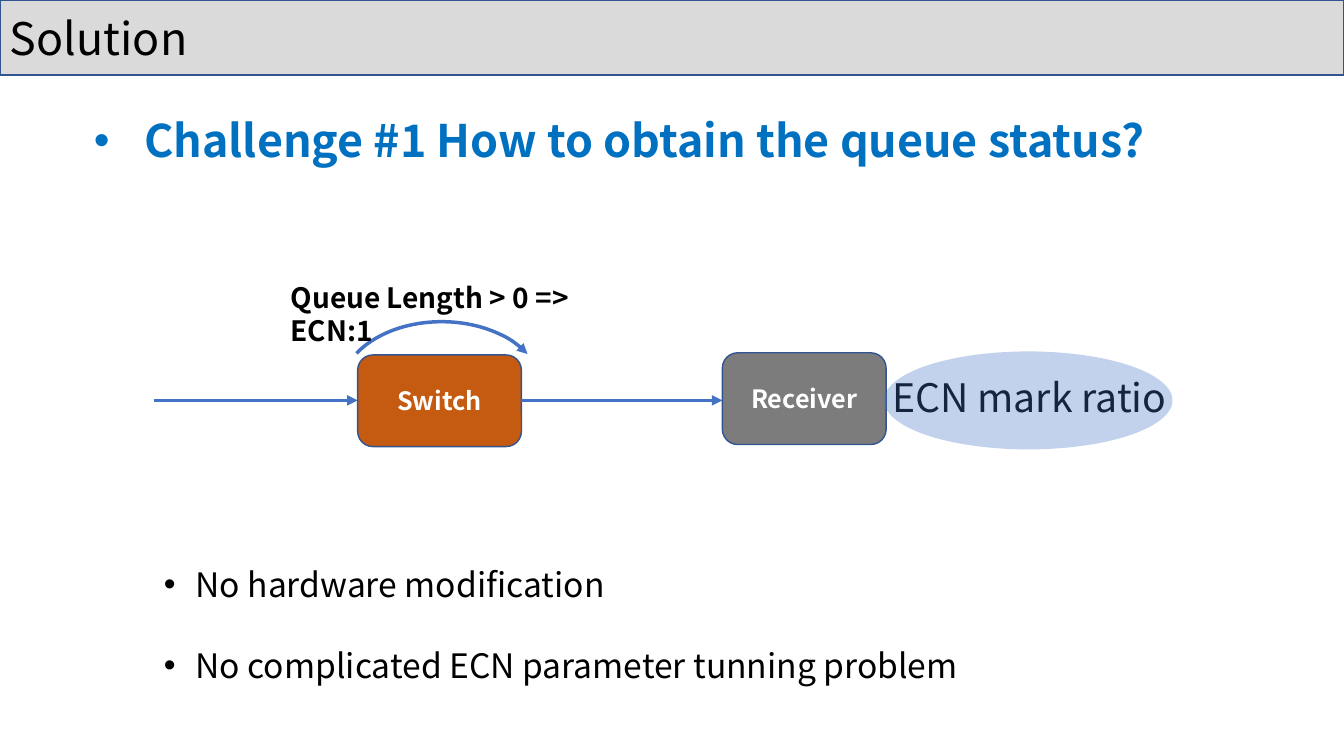
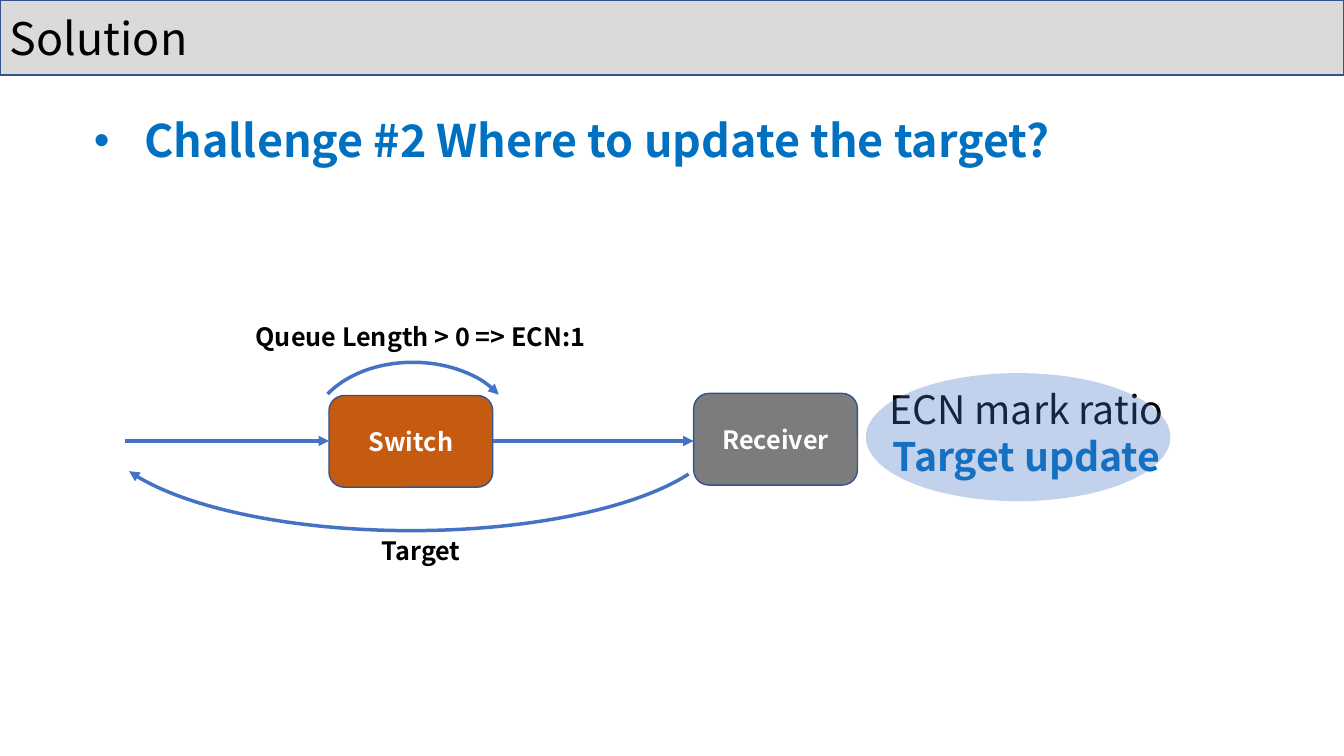
from dataclasses import dataclass
from typing import Any, Optional

import pptx
import pptx.dml.color
import pptx.enum.shapes
import pptx.enum.text
import pptx.oxml
import pptx.oxml.ns
import pptx.util

Pt = pptx.util.Pt
RGBColor = pptx.dml.color.RGBColor
MSO_SHAPE = pptx.enum.shapes.MSO_SHAPE
MSO_ANCHOR = pptx.enum.text.MSO_ANCHOR
PP_ALIGN = pptx.enum.text.PP_ALIGN

FONT = "Noto Sans CJK SC"
BLACK = RGBColor(0x00, 0x00, 0x00)
WHITE = RGBColor(0xFF, 0xFF, 0xFF)
BAND_GREY = RGBColor(0x52, 0x52, 0x52)
BORDER_BLUE = RGBColor(0x32, 0x54, 0x91)
HEADING_BLUE = RGBColor(0x00, 0x70, 0xC0)
ARROW_BLUE = RGBColor(0x44, 0x72, 0xC4)
SWITCH_ORANGE = RGBColor(0xC5, 0x5A, 0x11)
RECEIVER_GREY = RGBColor(0x7C, 0x7C, 0x7C)

SLIDE_WIDTH, SLIDE_HEIGHT = 960, 540
NODE_WIDTH, NODE_HEIGHT = 117, 65.5
SWITCH_OFFSET, RECEIVER_OFFSET = 145.5, 406


@dataclass(frozen=True)
class Box:
    left: float
    top: float
    width: float
    height: float

    def lengths(self) -> tuple:
        return Pt(self.left), Pt(self.top), Pt(self.width), Pt(self.height)


@dataclass(frozen=True)
class Line:
    text: str
    size: float
    color: RGBColor = BLACK
    bold: bool = False
    align: Any = PP_ALIGN.LEFT
    indent: float = 0
    space_before: float = 0


@dataclass(frozen=True)
class Node:
    name: str
    left: float
    top: float
    color: RGBColor


@dataclass(frozen=True)
class Arc:
    box: Box
    rotation: float
    start: float
    end: float


@dataclass(frozen=True)
class Label:
    box: Box
    lines: tuple


@dataclass(frozen=True)
class Challenge:
    heading: str
    left: float
    axis: float
    labels: tuple
    ellipse: Box
    arcs: tuple = ()


def add_xml(parent: Any, tag: str, **attributes: str) -> None:
    element = pptx.oxml.parse_xml(f"<a:{tag} {pptx.oxml.ns.nsdecls('a')}/>")
    for name, value in attributes.items():
        element.set(name, value)
    parent.append(element)


def apply_format(target: Any, values: dict) -> None:
    for name, value in values.items():
        setattr(target, name, value)


def write_lines(frame: Any, lines: tuple, anchor: Any) -> None:
    apply_format(frame, {"word_wrap": True, "vertical_anchor": anchor})
    for index, line in enumerate(lines):
        paragraph = frame.add_paragraph() if index else frame.paragraphs[0]
        apply_format(paragraph, {"alignment": line.align, "space_before": Pt(line.space_before)})
        if line.indent:
            properties = paragraph._p.get_or_add_pPr()
            properties.set("marL", str(Pt(line.indent)))
            properties.set("indent", str(-Pt(line.indent)))
            add_xml(properties, "buFont", typeface="Arial")
            add_xml(properties, "buChar", char="•")
        run = paragraph.add_run()
        run.text = line.text
        apply_format(run.font, {"name": FONT, "size": Pt(line.size), "bold": line.bold})
        run.font.color.rgb = line.color


def add_text(slide: Any, label: Label) -> None:
    shape = slide.shapes.add_textbox(*label.box.lengths())
    write_lines(shape.text_frame, label.lines, MSO_ANCHOR.TOP)


def add_filled(slide: Any, kind: Any, box: Box, color: RGBColor, bordered: bool = True,
               opacity: Optional[int] = None, line: Optional[Line] = None) -> None:
    shape = slide.shapes.add_shape(kind, *box.lengths())
    shape.shadow.inherit = False
    shape.fill.solid()
    shape.fill.fore_color.rgb = color
    if opacity is not None:
        fill_color = shape._element.spPr.find(".//" + pptx.oxml.ns.qn("a:srgbClr"))
        add_xml(fill_color, "alpha", val=str(opacity * 1000))
    if bordered:
        shape.line.color.rgb = BORDER_BLUE
        shape.line.width = Pt(1)
    else:
        shape.line.fill.background()
    if line:
        write_lines(shape.text_frame, (line,), MSO_ANCHOR.MIDDLE)


def style_arrow(line: Any) -> None:
    line.color.rgb = ARROW_BLUE
    line.width = Pt(2.5)
    add_xml(line._get_or_add_ln(), "tailEnd", type="triangle")


def add_arrow(slide: Any, start: float, end: float, axis: float) -> None:
    straight = pptx.enum.shapes.MSO_CONNECTOR.STRAIGHT
    connector = slide.shapes.add_connector(straight, Pt(start), Pt(axis), Pt(end), Pt(axis))
    style_arrow(connector.line)
    add_xml(connector._element.spPr, "effectLst")


def add_arc(slide: Any, arc: Arc) -> None:
    shape = slide.shapes.add_shape(MSO_SHAPE.ARC, *arc.box.lengths())
    shape.shadow.inherit = False
    shape.fill.background()
    shape.rotation = arc.rotation
    shape.adjustments[0] = arc.start
    shape.adjustments[1] = arc.end
    style_arrow(shape.line)


def add_diagram(slide: Any, left: float, axis: float) -> None:
    nodes = (
        Node("Switch", left + SWITCH_OFFSET, axis - 32.5, SWITCH_ORANGE),
        Node("Receiver", left + RECEIVER_OFFSET, axis - 34, RECEIVER_GREY),
    )
    tail = left
    for node in nodes:
        add_arrow(slide, tail, node.left, axis)
        add_filled(slide, MSO_SHAPE.ROUNDED_RECTANGLE,
                   Box(node.left, node.top, NODE_WIDTH, NODE_HEIGHT), node.color,
                   line=Line(node.name, 18, WHITE, True, PP_ALIGN.CENTER))
        tail = node.left + NODE_WIDTH
    add_arc(slide, Arc(Box(left + 155.5, axis - 79, 100, 145.5), 270, 176.51, 39.79))


def add_challenge(presentation: Any, challenge: Challenge) -> None:
    slide = presentation.slides.add_slide(presentation.slide_layouts[6])
    add_filled(slide, MSO_SHAPE.RECTANGLE, Box(0, 0, SLIDE_WIDTH, 53.5), BAND_GREY,
               opacity=21, line=Line("Solution", 32))
    heading = Line(challenge.heading, 32, HEADING_BLUE, True, indent=36)
    add_text(slide, Label(Box(60, 77, 865, 46), (heading,)))
    add_diagram(slide, challenge.left, challenge.axis)
    for arc in challenge.arcs:
        add_arc(slide, arc)
    for label in challenge.labels:
        add_text(slide, label)
    add_filled(slide, MSO_SHAPE.OVAL, challenge.ellipse, ARROW_BLUE, bordered=False, opacity=32)


QUEUE_RULE = "Queue Length > 0 => ECN:1"
MARK_RATIO = Line("ECN mark ratio", 28, align=PP_ALIGN.CENTER)

CHALLENGES = (
    Challenge(
        heading="Challenge #1 How to obtain the queue status?",
        left=110,
        axis=286,
        labels=(
            Label(Box(200.5, 196.5, 275, 32), (Line(QUEUE_RULE, 20, bold=True),)),
            Label(Box(110, 399.5, 583, 94), (
                Line("No hardware modification", 24, indent=22.5),
                Line("No complicated ECN parameter tunning problem", 24,
                     indent=22.5, space_before=29),
            )),
            Label(Box(626.5, 263, 217.5, 41), (MARK_RATIO,)),
        ),
        ellipse=Box(631.5, 251, 206, 70),
    ),
    Challenge(
        heading="Challenge #2 Where to update the target?",
        left=89.5,
        axis=315,
        labels=(
            Label(Box(175.5, 226, 254, 29), (Line(QUEUE_RULE, 18, bold=True),)),
            Label(Box(624.5, 271.5, 217.5, 75), (
                MARK_RATIO,
                Line("Target update", 28, HEADING_BLUE, True, PP_ALIGN.CENTER),
            )),
            Label(Box(265.5, 379, 74, 29), (Line("Target", 18, bold=True),)),
        ),
        ellipse=Box(618.5, 266.5, 217.5, 91.5),
        arcs=(Arc(Box(70, 229, 447, 150), 180, 113.93, 210.49),),
    ),
)


def main() -> None:
    presentation = pptx.Presentation()
    apply_format(presentation, {"slide_width": Pt(SLIDE_WIDTH), "slide_height": Pt(SLIDE_HEIGHT)})
    for challenge in CHALLENGES:
        add_challenge(presentation, challenge)
    presentation.save("out.pptx")


if __name__ == "__main__":
    main()
